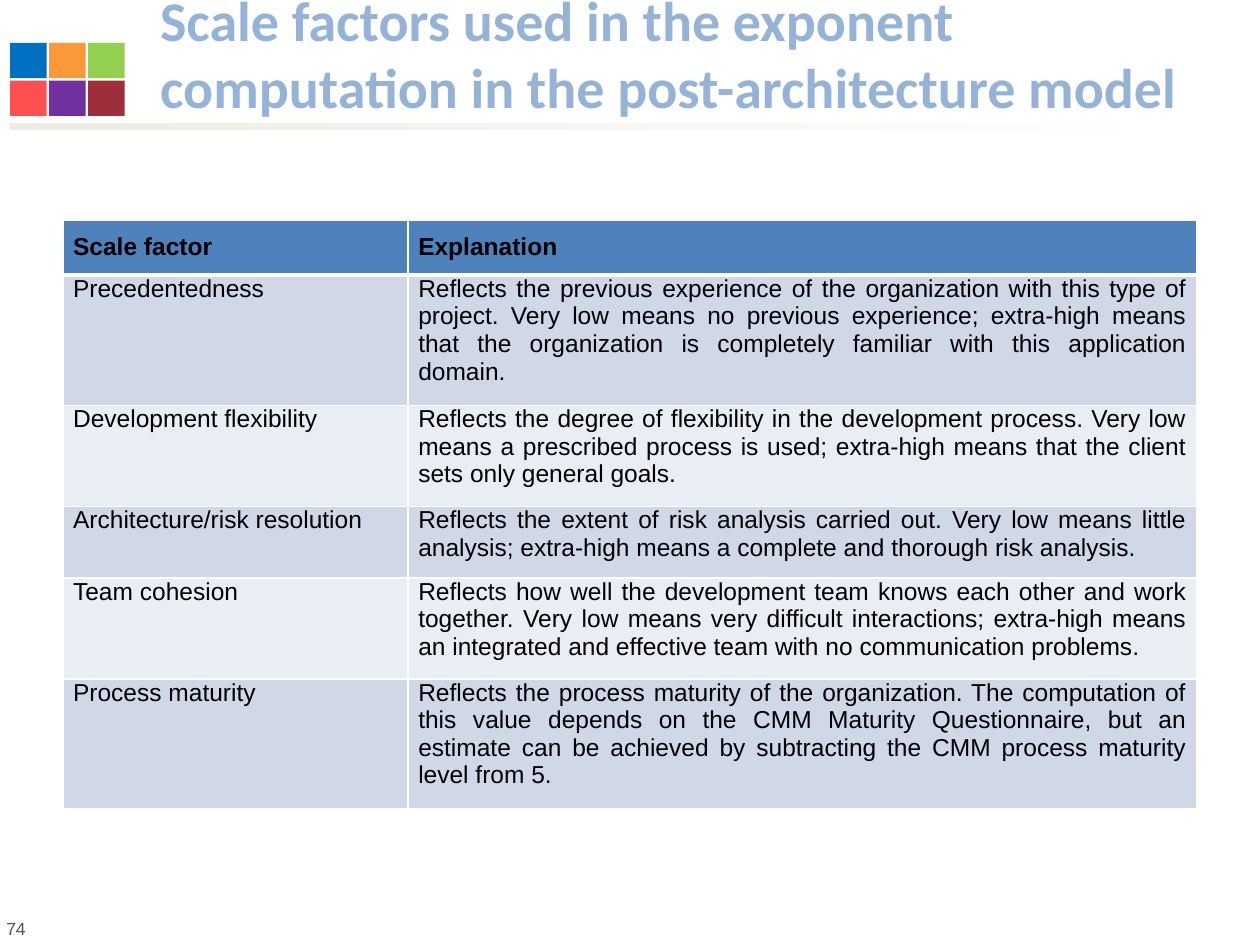
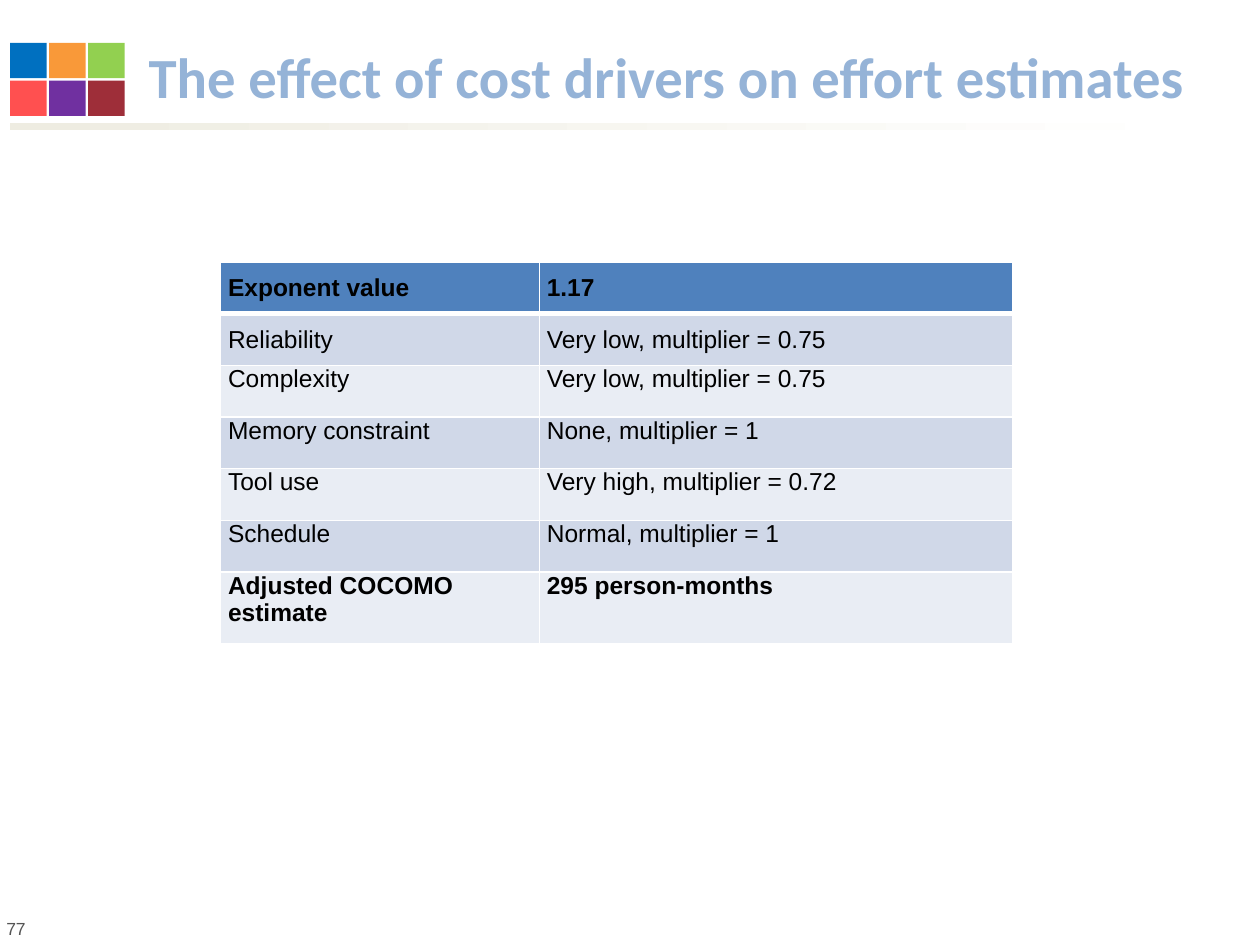
from lxml import etree
from pptx import Presentation
from pptx.dml.color import RGBColor
from pptx.enum.shapes import MSO_SHAPE
from pptx.enum.text import MSO_ANCHOR, MSO_AUTO_SIZE, PP_ALIGN
from pptx.oxml.ns import qn
from pptx.util import Inches, Pt

RECTANGLE = MSO_SHAPE.RECTANGLE
LEFT, JUSTIFY = PP_ALIGN.LEFT, PP_ALIGN.JUSTIFY
TOP, BOTTOM = MSO_ANCHOR.TOP, MSO_ANCHOR.BOTTOM
NO_AUTOFIT = MSO_AUTO_SIZE.NONE
TITLE_ONLY = 5

WHITE = RGBColor(0xFF, 0xFF, 0xFF)
BLACK = RGBColor(0x00, 0x00, 0x00)
TITLE_BLUE = RGBColor(0x95, 0xB3, 0xD7)
NUMBER_GREY = RGBColor(0x55, 0x55, 0x55)
RULE_BEIGE = RGBColor(0xEE, 0xEC, 0xE1)
HEADER_BLUE = RGBColor(0x4F, 0x81, 0xBD)
BANDS = (RGBColor(0xD0, 0xD8, 0xE8), RGBColor(0xE9, 0xED, 0xF4))
SQUARE_ROWS = (
    (RGBColor(0x00, 0x70, 0xC0), RGBColor(0xF9, 0x99, 0x39), RGBColor(0x92, 0xD0, 0x50)),
    (RGBColor(0xFF, 0x50, 0x50), RGBColor(0x70, 0x30, 0xA0), RGBColor(0x9E, 0x2E, 0x39)),
)

SQUARE_LEFT, SQUARE_TOP = 0.08, 0.34
COLUMN_STEP, ROW_STEP = 0.31, 0.30
SQUARE_WIDTH, SQUARE_HEIGHT = 0.29, 0.28
ROW_HEIGHT = 0.41
THIN, THICK = 1, 3

SCALE_FACTORS = [
    ("Scale factor", "Explanation"),
    ("Precedentedness",
     "Reflects the previous experience of the organization with this type of project. "
     "Very low means no previous experience; extra-high means that the organization is "
     "completely familiar with this application domain."),
    ("Development flexibility",
     "Reflects the degree of flexibility in the development process. Very low means a "
     "prescribed process is used; extra-high means that the client sets only general goals."),
    ("Architecture/risk resolution",
     "Reflects the extent of risk analysis carried out. Very low means little analysis; "
     "extra-high means a complete and thorough risk analysis."),
    ("Team cohesion",
     "Reflects how well the development team knows each other and work together. Very low "
     "means very difficult interactions; extra-high means an integrated and effective team "
     "with no communication problems."),
    ("Process maturity",
     "Reflects the process maturity of the organization. The computation of this value "
     "depends on the CMM Maturity Questionnaire, but an estimate can be achieved by "
     "subtracting the CMM process maturity level from 5."),
]
COST_DRIVERS = [
    ("Exponent value", "1.17"),
    ("Reliability", "Very low, multiplier = 0.75"),
    ("Complexity", "Very low, multiplier = 0.75"),
    ("Memory constraint", "None, multiplier = 1"),
    ("Tool use", "Very high, multiplier = 0.72"),
    ("Schedule", "Normal, multiplier = 1"),
    ("Adjusted COCOMO estimate", "295 person-months"),
]


def set_attributes(target, values):
    for name, value in values.items():
        setattr(target, name, value)


def box(*lengths):
    return [Inches(length) for length in lengths]


def write(frame, text, font, alignment=LEFT, space_after=0):
    frame.text = text
    paragraph = frame.paragraphs[0]
    set_attributes(paragraph, {"alignment": alignment, "space_after": Pt(space_after)})
    set_attributes(paragraph.font, {key: font[key] for key in ("name", "size", "bold")})
    paragraph.font.color.rgb = font["color"]


def font_values(name, size, color, bold=False):
    return {"name": name, "size": Pt(size), "color": color, "bold": bold}


def add_rectangle(slide, position):
    shape = slide.shapes.add_shape(RECTANGLE, *box(*position))
    shape.shadow.inherit = False
    shape.line.fill.background()
    return shape


def add_rule(slide):
    fill = add_rectangle(slide, (0.08, 0.98, 9.48, 0.05)).fill
    fill.gradient()
    fill.gradient_angle = 0
    for stop, color in zip(fill.gradient_stops, (RULE_BEIGE, WHITE)):
        stop.color.rgb = color


def add_squares(slide):
    for row, colors in enumerate(SQUARE_ROWS):
        for column, color in enumerate(colors):
            square = add_rectangle(slide, (
                SQUARE_LEFT + column * COLUMN_STEP, SQUARE_TOP + row * ROW_STEP,
                SQUARE_WIDTH, SQUARE_HEIGHT))
            square.fill.solid()
            square.fill.fore_color.rgb = color


def add_page_number(slide, number):
    frame = slide.shapes.add_textbox(*box(0, 7.24, 5.75, 0.26)).text_frame
    set_attributes(frame, {"word_wrap": True, "margin_left": Inches(0.05)})
    write(frame, number, font_values("Arial", 10, NUMBER_GREY))


def set_title(slide, text, position, size):
    title = slide.shapes.title
    set_attributes(title, dict(zip(("left", "top", "width", "height"), box(*position))))
    set_attributes(title.text_frame, {
        "vertical_anchor": BOTTOM, "word_wrap": True, "auto_size": NO_AUTOFIT})
    write(title.text_frame, text, font_values("Calibri", size, TITLE_BLUE, True))


def add_slide(presentation, title, position, size, number):
    slide = presentation.slides.add_slide(presentation.slide_layouts[TITLE_ONLY])
    add_rule(slide)
    add_page_number(slide, number)
    add_squares(slide)
    set_title(slide, title, position, size)
    return slide


def set_borders(cell, widths):
    properties = cell._tc.get_or_add_tcPr()
    for side, width in widths.items():
        line = etree.SubElement(properties, qn(f"a:ln{side}"), w=str(Pt(width)))
        fill = etree.SubElement(line, qn("a:solidFill"))
        etree.SubElement(fill, qn("a:srgbClr"), val=str(WHITE))


def add_table(slide, rows, position, widths, side_margin, top_margins, bottom_margins,
              alignments, bold_rows, space_after=0):
    left, top = position
    table = slide.shapes.add_table(
        len(rows), len(widths),
        *box(left, top, sum(widths), ROW_HEIGHT * len(rows))).table
    for column, width in zip(table.columns, widths):
        column.width = Inches(width)
    for row_index, texts in enumerate(rows):
        table.rows[row_index].height = Inches(ROW_HEIGHT)
        for column_index, text in enumerate(texts):
            cell = table.cell(row_index, column_index)
            set_borders(cell, {"L": THIN, "R": THIN,
                               "T": THICK if row_index == 1 else THIN,
                               "B": THICK if row_index == 0 else THIN})
            cell.fill.solid()
            cell.fill.fore_color.rgb = BANDS[(row_index - 1) % 2] if row_index else HEADER_BLUE
            set_attributes(cell, {
                "margin_left": Inches(side_margin), "margin_right": Inches(side_margin),
                "margin_top": Inches(top_margins[row_index]),
                "margin_bottom": Inches(bottom_margins[row_index]),
                "vertical_anchor": TOP})
            write(cell.text_frame, text,
                  font_values("Arial", 14, BLACK, row_index in bold_rows),
                  alignments[column_index], space_after)


def main():
    presentation = Presentation()
    set_attributes(presentation, {"slide_width": Inches(10), "slide_height": Inches(7.5)})

    slide = add_slide(
        presentation,
        "Scale factors used in the exponent computation in the post-architecture model",
        (1.17, 0.32, 8.67, 0.68), 32, "74")
    add_table(slide, SCALE_FACTORS, (0.5, 1.75), (2.74, 6.26), 0.08,
              [0.1] + [0] * 5, [0.1] * 6, (JUSTIFY, JUSTIFY), {0})

    slide = add_slide(
        presentation, "The effect of cost drivers on effort estimates",
        (1.08, 0.25, 8.58, 0.67), 32.4, "77")
    add_table(slide, COST_DRIVERS, (1.75, 2.08), (2.53, 3.76), 0.06,
              [0.1] * 2 + [0] * 5, [0] * 6 + [0.1], (LEFT, JUSTIFY), {0, 6}, 3)

    presentation.save("out.pptx")


if __name__ == "__main__":
    main()
